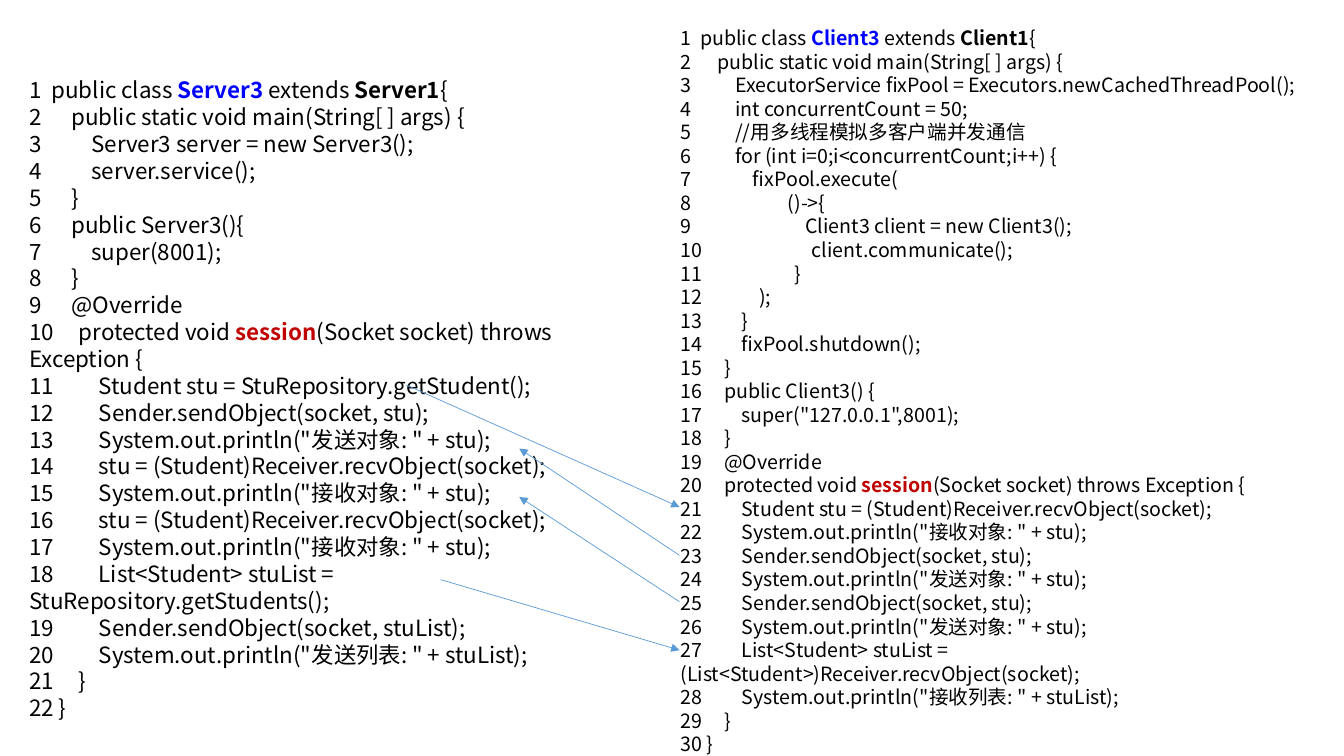
from dataclasses import dataclass, field
from lxml.etree import SubElement
from pptx import Presentation
from pptx.dml.color import RGBColor
from pptx.enum.shapes import MSO_CONNECTOR
from pptx.enum.text import MSO_AUTO_SIZE
from pptx.oxml.ns import qn
from pptx.util import Inches, Pt

SERVER_CODE = [
    (0, "public class |Server3| extends |Server1|{"),
    (1, "public static void main(String[ ] args) {"),
    (2, "Server3 server = new Server3();"),
    (2, "server.service();"),
    (1, "}"),
    (1, "public Server3(){"),
    (2, "super(8001);"),
    (1, "}"),
    (1, "@Override"),
    (1, "protected void |session|(Socket socket) throws Exception {"),
    (2, "Student stu = StuRepository.getStudent();"),
    (2, "Sender.sendObject(socket, stu);"),
    (2, 'System.out.println("发送对象: " + stu);'),
    (2, "stu = (Student)Receiver.recvObject(socket);"),
    (2, 'System.out.println("接收对象: " + stu);'),
    (2, "stu = (Student)Receiver.recvObject(socket);"),
    (2, 'System.out.println("接收对象: " + stu);'),
    (2, "List<Student> stuList = StuRepository.getStudents();"),
    (2, "Sender.sendObject(socket, stuList);"),
    (2, 'System.out.println("发送列表: " + stuList);'),
    (1, "}"),
    (0, "}"),
]

CLIENT_CODE = [
    (0, "public class |Client3| extends |Client1|{"),
    (1, "public static void main(String[ ] args) {"),
    (2, "ExecutorService fixPool = Executors.newCachedThreadPool();"),
    (2, "int concurrentCount = 50;"),
    (2, "//用多线程模拟多客户端并发通信"),
    (2, "for (int i=0;i<concurrentCount;i++) {"),
    (3, "fixPool.execute("),
    (5, "()->{"),
    (6, "Client3 client = new Client3();"),
    (6, "client.communicate();"),
    (5, "}"),
    (3, ");"),
    (2, "}"),
    (2, "fixPool.shutdown();"),
    (1, "}"),
    (1, "public Client3() {"),
    (2, 'super("127.0.0.1",8001);'),
    (1, "}"),
    (1, "@Override"),
    (1, "protected void |session|(Socket socket) throws Exception {"),
    (2, "Student stu = (Student)Receiver.recvObject(socket);"),
    (2, 'System.out.println("接收对象: " + stu);'),
    (2, "Sender.sendObject(socket, stu);"),
    (2, 'System.out.println("发送对象: " + stu);'),
    (2, "Sender.sendObject(socket, stu);"),
    (2, 'System.out.println("发送对象: " + stu);'),
    (2, "List<Student> stuList = (List<Student>)Receiver.recvObject(socket);"),
    (2, 'System.out.println("接收列表: " + stuList);'),
    (1, "}"),
    (0, "}"),
]


@dataclass(frozen=True)
class Theme:
    font: str = "Noto Sans CJK SC"
    text: str = "000000"
    arrow: str = "5B9BD5"
    highlights: dict = field(default_factory=lambda: {
        "Server3": "0000FF", "Client3": "0000FF", "session": "C00000"})
    server_size: int = 16
    client_size: int = 14
    arrow_width: float = 0.5


class SlideBuilder:
    def __init__(self, slide, theme):
        self.slide = slide
        self.theme = theme

    def add_run(self, paragraph, text, size, highlighted):
        run = paragraph.add_run()
        run.text = text
        run.font.name = self.theme.font
        run.font.size = Pt(size)
        run.font.bold = highlighted
        color = self.theme.highlights.get(text) if highlighted else None
        run.font.color.rgb = RGBColor.from_string(color or self.theme.text)
        SubElement(run.font._element, qn("a:ea")).set("typeface", self.theme.font)

    def add_code(self, code, size, left, top, width, height):
        shape = self.slide.shapes.add_textbox(
            Inches(left), Inches(top), Inches(width), Inches(height))
        frame = shape.text_frame
        frame.word_wrap = True
        frame.auto_size = MSO_AUTO_SIZE.SHAPE_TO_FIT_TEXT
        for number, (level, line) in enumerate(code, start=1):
            paragraph = frame.paragraphs[0] if number == 1 else frame.add_paragraph()
            numbered_line = str(number).ljust(3 + 4 * level) + line
            for index, segment in enumerate(numbered_line.split("|")):
                self.add_run(paragraph, segment, size, index % 2 == 1)

    def add_arrow(self, start, end):
        connector = self.slide.shapes.add_connector(
            MSO_CONNECTOR.STRAIGHT, *map(Inches, start + end))
        connector.line.color.rgb = RGBColor.from_string(self.theme.arrow)
        connector.line.width = Pt(self.theme.arrow_width)
        SubElement(connector.line._get_or_add_ln(), qn("a:tailEnd")).set("type", "triangle")
        SubElement(connector._element.spPr, qn("a:effectLst"))


def main():
    presentation = Presentation()
    presentation.slide_width = Inches(13.33)
    presentation.slide_height = Inches(7.5)
    slide = presentation.slides.add_slide(presentation.slide_layouts[6])
    theme = Theme()
    builder = SlideBuilder(slide, theme)

    builder.add_code(SERVER_CODE, theme.server_size, 0.19, 0.71, 6.18, 6.16)
    builder.add_code(CLIENT_CODE, theme.client_size, 6.65, 0.21, 6.6, 7.17)

    client_edge = 6.74
    server_edge = 5.15
    builder.add_arrow((4.03, 3.82), (client_edge, 5.03))
    builder.add_arrow((client_edge, 5.51), (server_edge, 4.45))
    builder.add_arrow((4.37, 5.75), (client_edge, 6.45))
    builder.add_arrow((client_edge, 5.97), (server_edge, 4.93))

    presentation.save("out.pptx")


if __name__ == "__main__":
    main()
